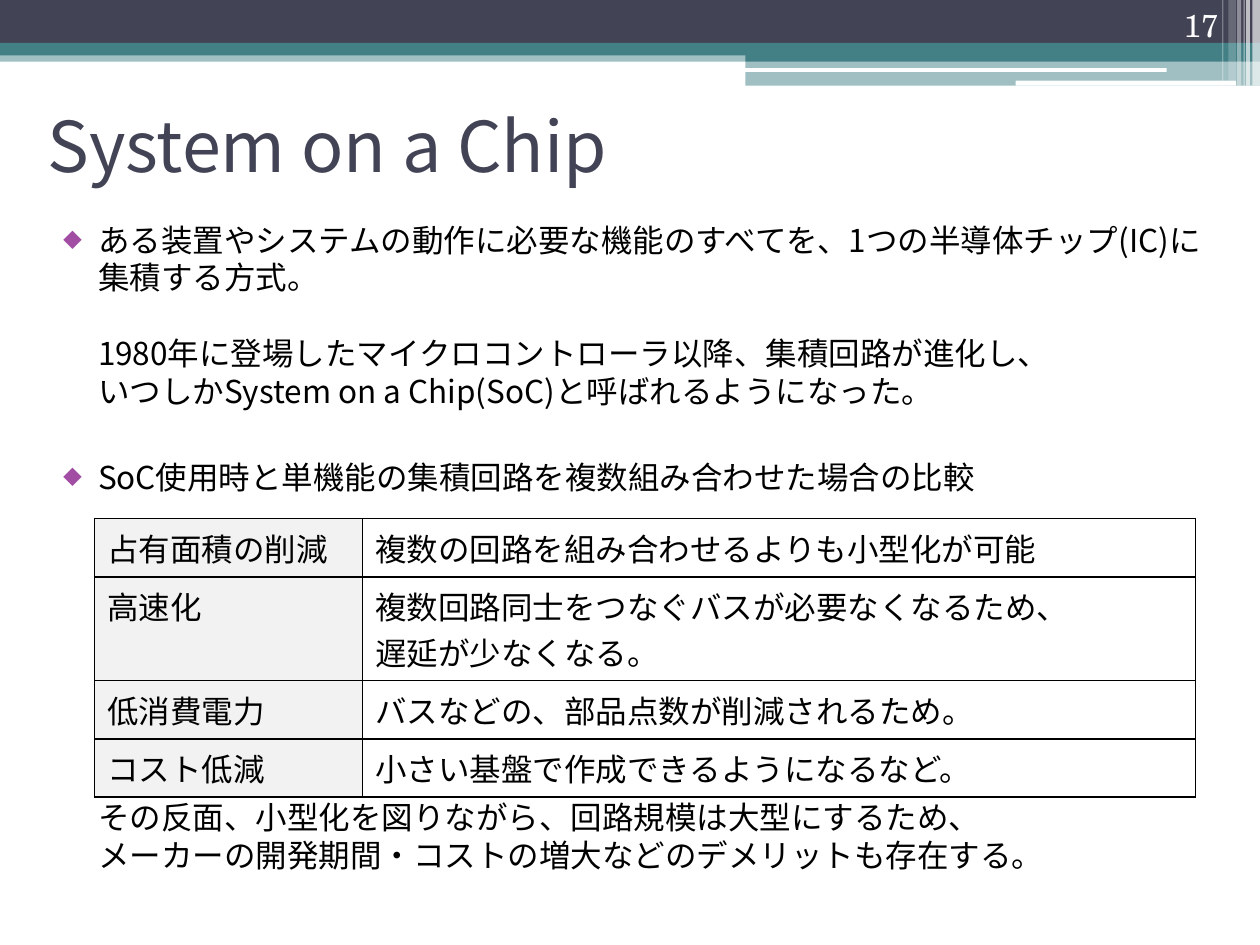
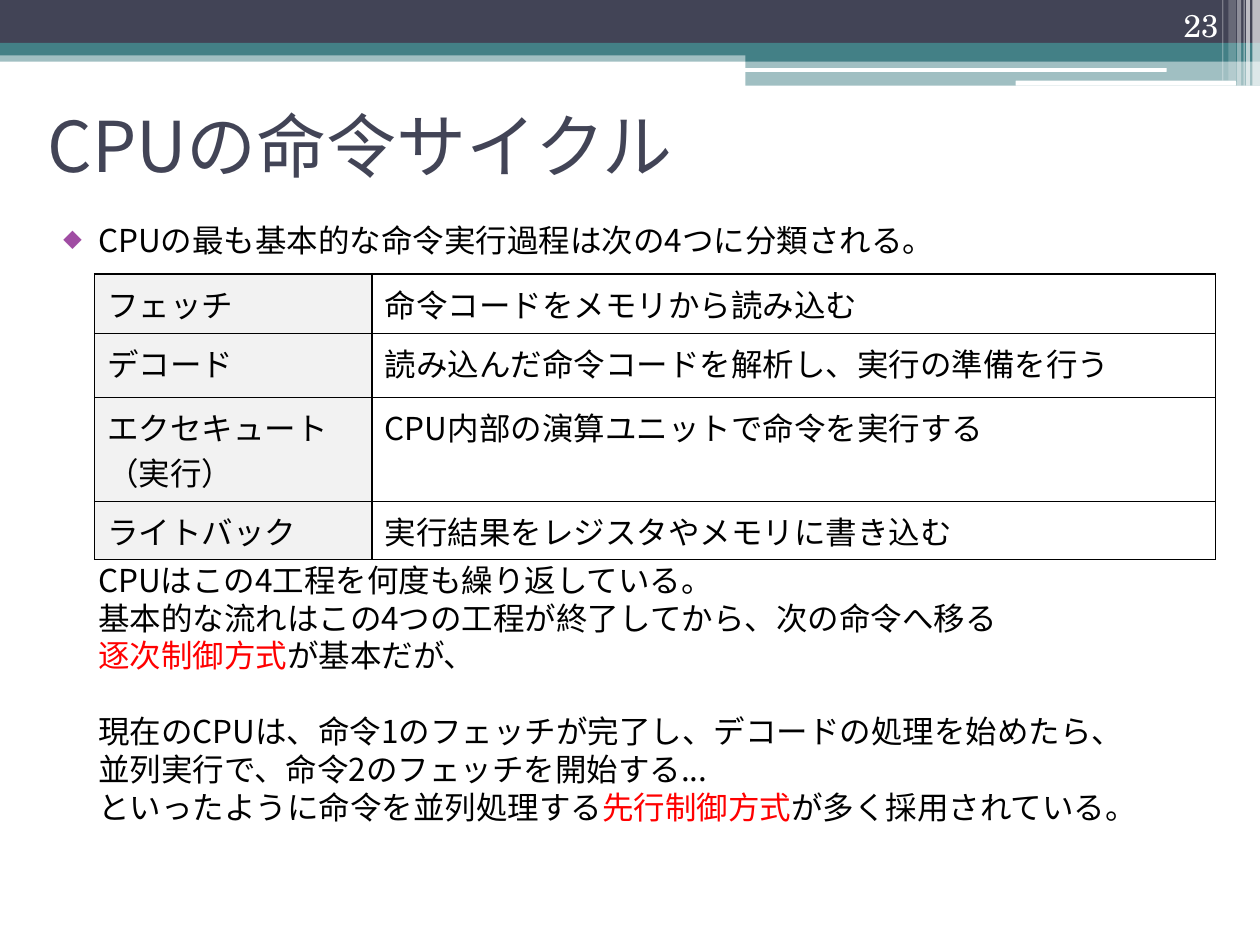
from lxml import etree
from pptx import Presentation
from pptx import util as u
from pptx.dml.color import RGBColor
from pptx.enum import shapes, text
from pptx.oxml.ns import qn

SANS, SERIF = "Noto Sans CJK JP", "TeX Gyre Schola"
NAVY, TEAL, WHITE, BLACK = "424456", "438086", "FFFFFF", "000000"
RED, PURPLE, GREY = "FF0000", "A04DA3", "F2F2F2"
SIZE, LINE, GAP, INDENT = 18, 21.6, 3, 20
TABLE_LEFT, ROW, TALL_ROW = 54, 33.2, 59.4

BANDS = [
    (0, 28.8, 720, 6.5, TEAL, 50),
    (0, 0, 720, 24.5, NAVY, 100),
    (0, 24.5, 720, 7.2, TEAL, 100),
    (426, 28, 294, 7.2, TEAL, 100),
    (426, 35.2, 294, 13.7, TEAL, 50),
]
PILLS = [(425.5, 38.9, 241.2, 2.2), (580.3, 46.1, 126, 2.9)]
STRIPES = [
    (715.7, 4.3, 49, 65),
    (712.1, 2.2, 49, 65),
    (710.6, 0.7, 49, 60),
    (707, 2.2, 49, 40),
    (702, 4.3, 46.1, 20),
    (698.4, 0.7, 46.1, 30),
]


def rgb(value):
    return RGBColor.from_string(value)


def place(shape, left, top, width, height):
    shape.left, shape.top = u.Pt(left), u.Pt(top)
    shape.width, shape.height = u.Pt(width), u.Pt(height)


class Deck:
    """Holds the shared style and the slide being built."""

    def __init__(self):
        self.presentation = Presentation()
        self.presentation.slide_width = u.Pt(720)
        self.presentation.slide_height = u.Pt(540)
        self.slide = None

    def start_slide(self, title, number):
        layout = self.presentation.slide_layouts[1]
        self.slide = self.presentation.slides.add_slide(layout)
        for *box, color, opacity in BANDS:
            self.block(box, color, opacity)
        for box in PILLS:
            self.block(box, WHITE, kind=shapes.MSO_SHAPE.ROUNDED_RECTANGLE)
        for left, width, height, opacity in STRIPES:
            self.block((left, 0, width, height), WHITE, opacity)
        self.title(title)
        self.page_number(number)

    def block(self, box, color, opacity=100, kind=shapes.MSO_SHAPE.RECTANGLE):
        shape = self.slide.shapes.add_shape(kind, *map(u.Pt, box))
        shape.shadow.inherit = False
        shape.line.fill.background()
        shape.fill.solid()
        shape.fill.fore_color.rgb = rgb(color)
        if opacity < 100:
            tint = shape._element.spPr.find(".//" + qn("a:srgbClr"))
            etree.SubElement(tint, qn("a:alpha"), val=str(opacity * 1000))

    def fill_text(self, paragraph, wording, size=SIZE, color=BLACK, font=SANS):
        paragraph.font.size = u.Pt(size)
        paragraph.font.color.rgb = rgb(color)
        paragraph.font.name = font
        defaults = paragraph._p.pPr.find(qn("a:defRPr"))
        etree.SubElement(defaults, qn("a:ea"), typeface=font)
        for part_index, part in enumerate(wording.split("|")):
            for line_index, line in enumerate(part.split("\n")):
                if line_index:
                    paragraph.add_line_break()
                if line:
                    run = paragraph.add_run()
                    run.text = line
                    if part_index % 2:
                        run.font.color.rgb = rgb(RED)

    def title(self, wording):
        shape = self.slide.shapes.title
        place(shape, 20, 54, 680, 57)
        frame = shape.text_frame
        frame.auto_size = text.MSO_AUTO_SIZE.NONE
        frame.vertical_anchor = text.MSO_ANCHOR.MIDDLE
        paragraph = frame.paragraphs[0]
        paragraph.alignment = text.PP_ALIGN.LEFT
        self.fill_text(paragraph, wording, 40, NAVY)

    def page_number(self, number):
        box = self.slide.shapes.add_textbox(*map(u.Pt, (643.7, 0, 59.8, 28.8)))
        frame = box.text_frame
        frame.word_wrap = True
        frame.vertical_anchor = text.MSO_ANCHOR.BOTTOM
        paragraph = frame.paragraphs[0]
        paragraph.alignment = text.PP_ALIGN.RIGHT
        self.fill_text(paragraph, str(number), color=WHITE, font=SERIF)

    def body(self, items):
        shape = self.slide.placeholders[1]
        place(shape, 20, 122.4, 680, 395)
        frame = shape.text_frame
        frame.auto_size = text.MSO_AUTO_SIZE.NONE
        for index, (bulleted, space, wording) in enumerate(items):
            paragraph = frame.add_paragraph() if index else frame.paragraphs[0]
            paragraph.line_spacing = u.Pt(LINE)
            paragraph.space_before = u.Pt(space)
            paragraph.space_after = u.Pt(0)
            self.bullet(paragraph, bulleted)
            self.fill_text(paragraph, wording)

    def bullet(self, paragraph, bulleted):
        properties = paragraph._p.get_or_add_pPr()
        properties.set("marL", str(u.Pt(28.8)))
        properties.set("indent", str(u.Pt(-INDENT if bulleted else 0)))
        if not bulleted:
            etree.SubElement(properties, qn("a:buNone"))
            return
        color = etree.SubElement(properties, qn("a:buClr"))
        etree.SubElement(color, qn("a:srgbClr"), val=PURPLE)
        etree.SubElement(properties, qn("a:buSzPct"), val="60000")
        etree.SubElement(properties, qn("a:buFont"), typeface=SANS)
        etree.SubElement(properties, qn("a:buChar"), char="◆")

    def table(self, top, widths, heights, rows):
        box = (TABLE_LEFT, top, sum(widths), sum(heights))
        frame = self.slide.shapes.add_table(len(rows), len(widths), *map(u.Pt, box))
        table = frame.table
        table.first_row = table.horz_banding = False
        for column, width in zip(table.columns, widths):
            column.width = u.Pt(width)
        for row, height, wordings in zip(table.rows, heights, rows):
            row.height = u.Pt(height)
            for cell, wording, fill in zip(row.cells, wordings, (GREY, None)):
                self.cell(cell, wording, fill)

    def cell(self, cell, wording, fill):
        properties = cell._tc.get_or_add_tcPr()
        for side in ("lnL", "lnR", "lnT", "lnB"):
            border = etree.SubElement(properties, qn("a:" + side), w=str(u.Pt(1)))
            paint = etree.SubElement(border, qn("a:solidFill"))
            etree.SubElement(paint, qn("a:srgbClr"), val=BLACK)
        if fill:
            cell.fill.solid()
            cell.fill.fore_color.rgb = rgb(fill)
        else:
            cell.fill.background()
        self.fill_text(cell.text_frame.paragraphs[0], wording)


def system_on_a_chip(deck):
    deck.start_slide("System on a Chip", 17)
    deck.body([
        (True, GAP, "ある装置やシステムの動作に必要な機能のすべてを、1つの半導体チップ(IC)に集積する方式。"),
        (False, LINE, "1980年に登場したマイクロコントローラ以降、集積回路が進化し、\n"
                      "いつしかSystem on a Chip(SoC)と呼ばれるようになった。"),
        (True, LINE + 2 * GAP, "SoC使用時と単機能の集積回路を複数組み合わせた場合の比較"),
        (False, 8 * LINE, "その反面、小型化を図りながら、回路規模は大型にするため、\n"
                          "メーカーの開発期間・コストの増大などのデメリットも存在する。"),
    ])
    deck.table(296.4, (153.2, 476), (ROW, TALL_ROW, ROW, ROW), [
        ("占有面積の削減", "複数の回路を組み合わせるよりも小型化が可能"),
        ("高速化", "複数回路同士をつなぐバスが必要なくなるため、\n遅延が少なくなる。"),
        ("低消費電力", "バスなどの、部品点数が削減されるため。"),
        ("コスト低減", "小さい基盤で作成できるようになるなど。"),
    ])


def instruction_cycle(deck):
    deck.start_slide("CPUの命令サイクル", 23)
    deck.body([
        (True, GAP, "CPUの最も基本的な命令実行過程は次の4つに分類される。"),
        (False, 8 * LINE, "CPUはこの4工程を何度も繰り返している。\n"
                          "基本的な流れはこの4つの工程が終了してから、次の命令へ移る\n"
                          "|逐次制御方式|が基本だが、"),
        (False, LINE, "現在のCPUは、命令1のフェッチが完了し、デコードの処理を始めたら、\n"
                      "並列実行で、命令2のフェッチを開始する...\n"
                      "といったように命令を並列処理する|先行制御方式|が多く採用されている。"),
    ])
    deck.table(156.7, (158.7, 482), (33.8, 36.7, TALL_ROW, ROW), [
        ("フェッチ", "命令コードをメモリから読み込む"),
        ("デコード", "読み込んだ命令コードを解析し、実行の準備を行う"),
        ("エクセキュート（実行）", "CPU内部の演算ユニットで命令を実行する"),
        ("ライトバック", "実行結果をレジスタやメモリに書き込む"),
    ])


def main():
    deck = Deck()
    system_on_a_chip(deck)
    instruction_cycle(deck)
    deck.presentation.save("out.pptx")


if __name__ == "__main__":
    main()
